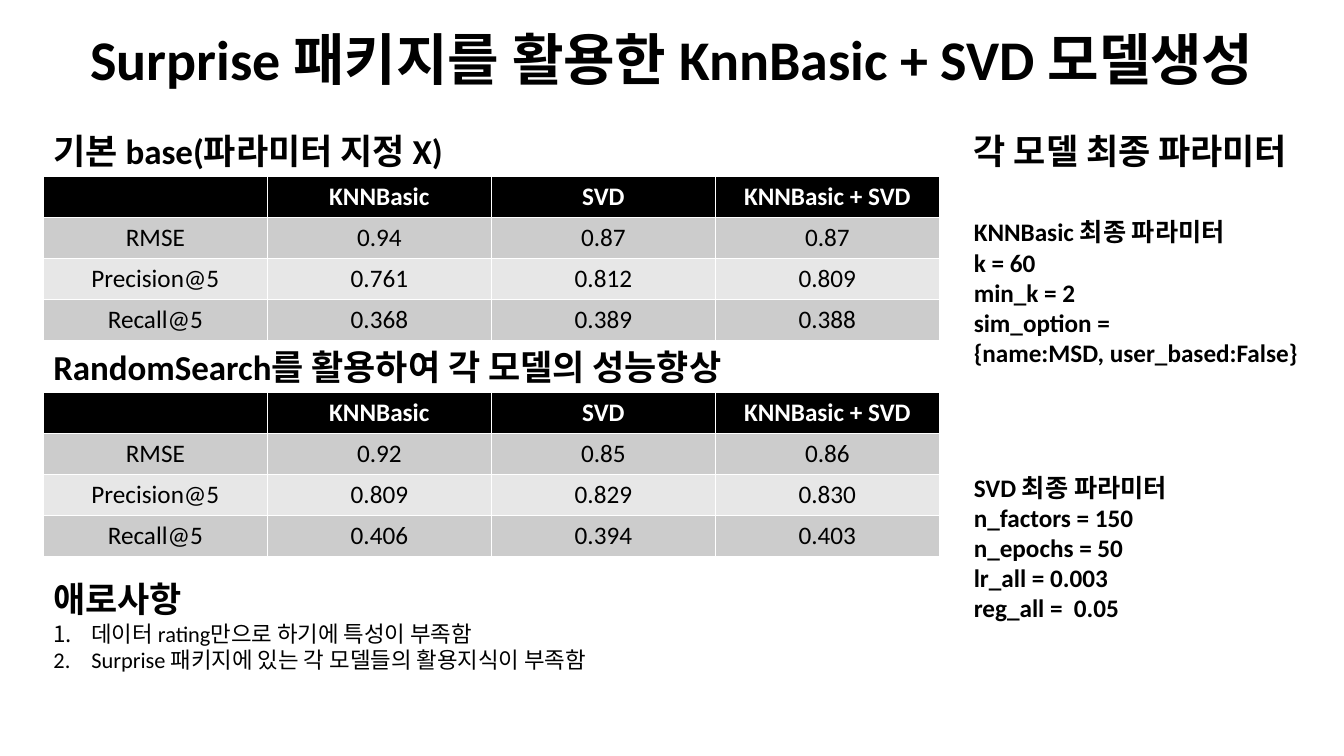
from dataclasses import dataclass

from pptx import Presentation
from pptx import util as u
from pptx.dml import color
from pptx.enum import text
from pptx.oxml import xmlchemy as xml

Pt = u.Pt


@dataclass(frozen=True)
class Theme:
    """Colours, font and type sizes."""
    face: str = "Calibri"
    ink: str = "000000"
    paper: str = "FFFFFF"
    bands: tuple = ("CCCCCC", "E7E7E7")
    title: int = 40
    head: int = 25
    body: int = 18
    note: int = 16


class Deck:
    """Holds the theme and the current slide."""

    def __init__(self, theme, wide, high):
        """Open a deck of the given size with one slide."""
        self.theme = theme
        self.prs = Presentation()
        self.prs.slide_width, self.prs.slide_height = Pt(wide), Pt(high)
        self.slide = self.prs.slides.add_slide(self.prs.slide_layouts[1])

    def style(self, para, size, bold=True, tint=None):
        """Set the font of a whole paragraph."""
        font = para.font
        font.name, font.size, font.bold = self.theme.face, Pt(size), bold
        font.color.rgb = color.RGBColor.from_string(tint or self.theme.ink)

    def place(self, shape, box):
        """Move a placeholder to a box."""
        shape.left, shape.top, shape.width, shape.height = map(Pt, box)

    def title(self, line, box):
        """Fill the title placeholder."""
        shape = self.slide.shapes.title
        self.place(shape, box)
        frame = shape.text_frame
        frame.text = line
        frame.auto_size = text.MSO_AUTO_SIZE.NONE
        frame.vertical_anchor = text.MSO_ANCHOR.MIDDLE
        para = frame.paragraphs[0]
        para.alignment = text.PP_ALIGN.CENTER
        para.line_spacing, para.space_before = 0.9, Pt(10)
        self.style(para, self.theme.title)

    def label(self, lines, box, size, wrap=True):
        """Add a bold text box, one paragraph a line."""
        shape = self.slide.shapes.add_textbox(*map(Pt, box))
        frame = shape.text_frame
        frame.text = "\n".join(lines)
        frame.word_wrap = wrap
        frame.auto_size = text.MSO_AUTO_SIZE.SHAPE_TO_FIT_TEXT
        for para in frame.paragraphs:
            self.style(para, size)

    def steps(self, head, lines, box):
        """Fill the body placeholder with a heading and a numbered list."""
        shape = self.slide.placeholders[1]
        self.place(shape, box)
        frame = shape.text_frame
        frame.text = "\n".join([head, *lines])
        frame.auto_size = text.MSO_AUTO_SIZE.SHAPE_TO_FIT_TEXT
        for i, para in enumerate(frame.paragraphs):
            para.space_before, para.line_spacing = Pt(0), 1.0
            self.bullet(para, 27 if i else 0)
            self.style(para, self.theme.note if i else self.theme.head, i == 0)

    def bullet(self, para, dent):
        """Number a paragraph with a hanging indent, or clear its bullet."""
        props = para._p.get_or_add_pPr()
        props.set("marL", str(Pt(dent)))
        props.set("indent", str(-Pt(dent)))
        mark = xml.OxmlElement("a:buAutoNum" if dent else "a:buNone")
        if dent:
            face = xml.OxmlElement("a:buFont")
            face.set("typeface", "+mj-lt")
            props.append(face)
            mark.set("type", "arabicPeriod")
        props.append(mark)

    def table(self, rows, box):
        """Add a table with a dark header and grey bands."""
        theme = self.theme
        grid = self.slide.shapes.add_table(
            len(rows), len(rows[0]), *map(Pt, box)).table
        for r, row in enumerate(rows):
            fill = theme.bands[(r - 1) % 2] if r else theme.ink
            for c, word in enumerate(row):
                cell = grid.cell(r, c)
                cell.text = word
                cell.fill.solid()
                cell.fill.fore_color.rgb = color.RGBColor.from_string(fill)
                para = cell.text_frame.paragraphs[0]
                para.alignment = text.PP_ALIGN.CENTER
                self.style(para, theme.body, r == 0,
                           theme.ink if r else theme.paper)


WIDE, HIGH = 960, 540
LEFT, SIDE = 31, 688.5
MAIN, ASIDE = 640, 271.5
HEAD, BLOCK = 37.5, 116.8
TOP = 88.8
MODELS = ["", "KNNBasic", "SVD", "KNNBasic + SVD"]
SCORES = [
    ("기본 base(파라미터 지정 X)", 312,
     [["RMSE", "0.94", "0.87", "0.87"],
      ["Precision@5", "0.761", "0.812", "0.809"],
      ["Recall@5", "0.368", "0.389", "0.388"]]),
    ("RandomSearch를 활용하여 각 모델의 성능향상", 523.5,
     [["RMSE", "0.92", "0.85", "0.86"],
      ["Precision@5", "0.809", "0.829", "0.830"],
      ["Recall@5", "0.406", "0.394", "0.403"]]),
]
PARAMS = [
    (151.2, ["KNNBasic 최종 파라미터", "k = 60", "min_k = 2",
             "sim_option = ", "{name:MSD, user_based:False}"]),
    (333.5, ["SVD 최종 파라미터", "n_factors = 150", "n_epochs = 50",
             "lr_all = 0.003", "reg_all =  0.05"]),
]


def main():
    """Build and save the slide."""
    theme = Theme()
    deck = Deck(theme, WIDE, HIGH)
    deck.title("Surprise 패키지를 활용한 KnnBasic + SVD 모델생성",
               (0, 0, WIDE, TOP))
    for i, (head, wide, rows) in enumerate(SCORES):
        top = TOP + i * (HEAD + BLOCK)
        deck.label([head], (LEFT, top, wide, HEAD), theme.head, wrap=False)
        deck.table([MODELS, *rows], (LEFT, top + HEAD, MAIN, BLOCK))
    deck.label(["각 모델 최종 파라미터"], (SIDE, TOP, ASIDE, HEAD), theme.head)
    for top, lines in PARAMS:
        deck.label(lines, (SIDE, top, ASIDE, BLOCK), theme.body)
    deck.steps("애로사항",
               ["데이터 rating만으로 하기에 특성이 부족함",
                "Surprise 패키지에 있는 각 모델들의 활용지식이 부족함"],
               (LEFT, 409, MAIN, 76))
    deck.prs.save("out.pptx")


main()
